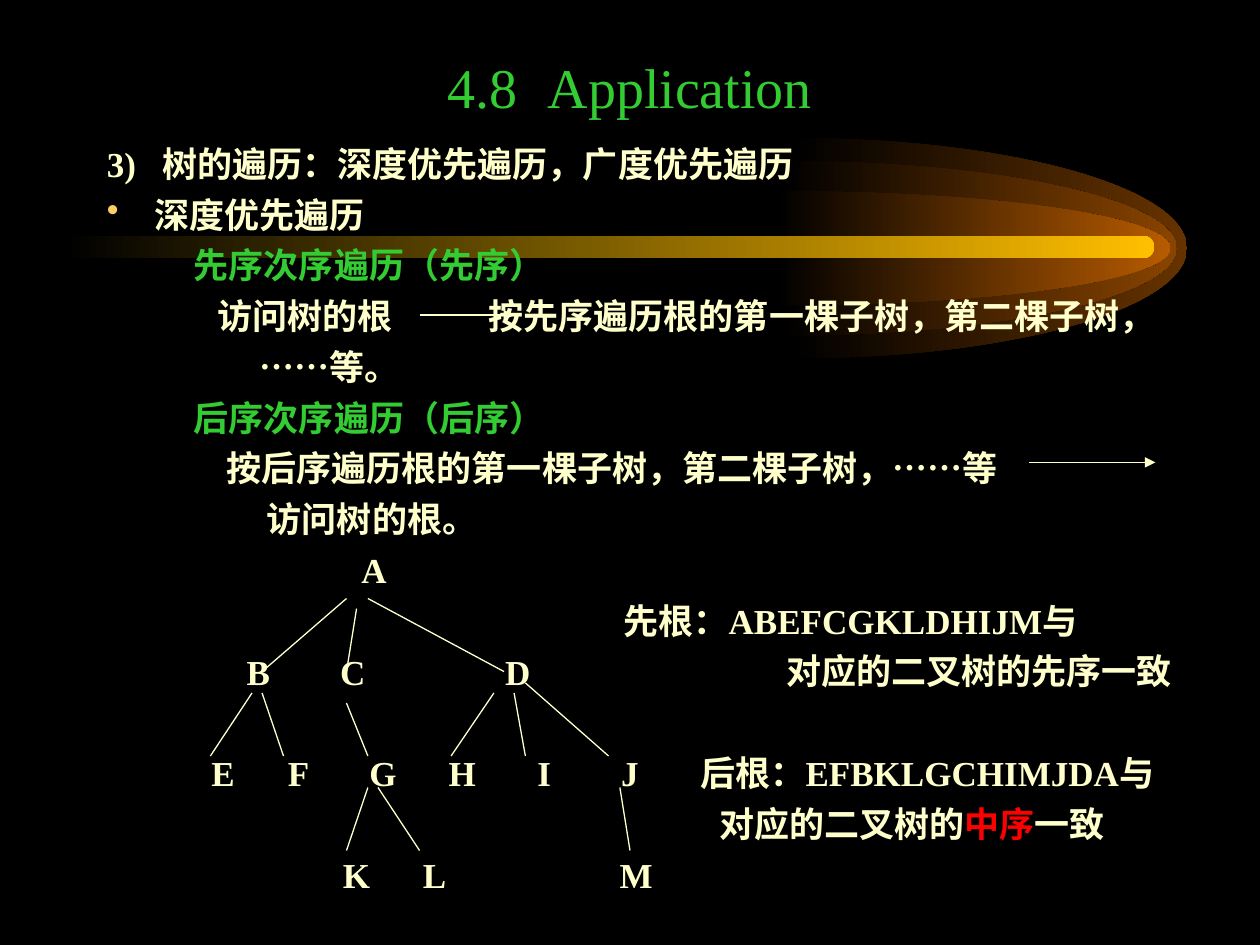
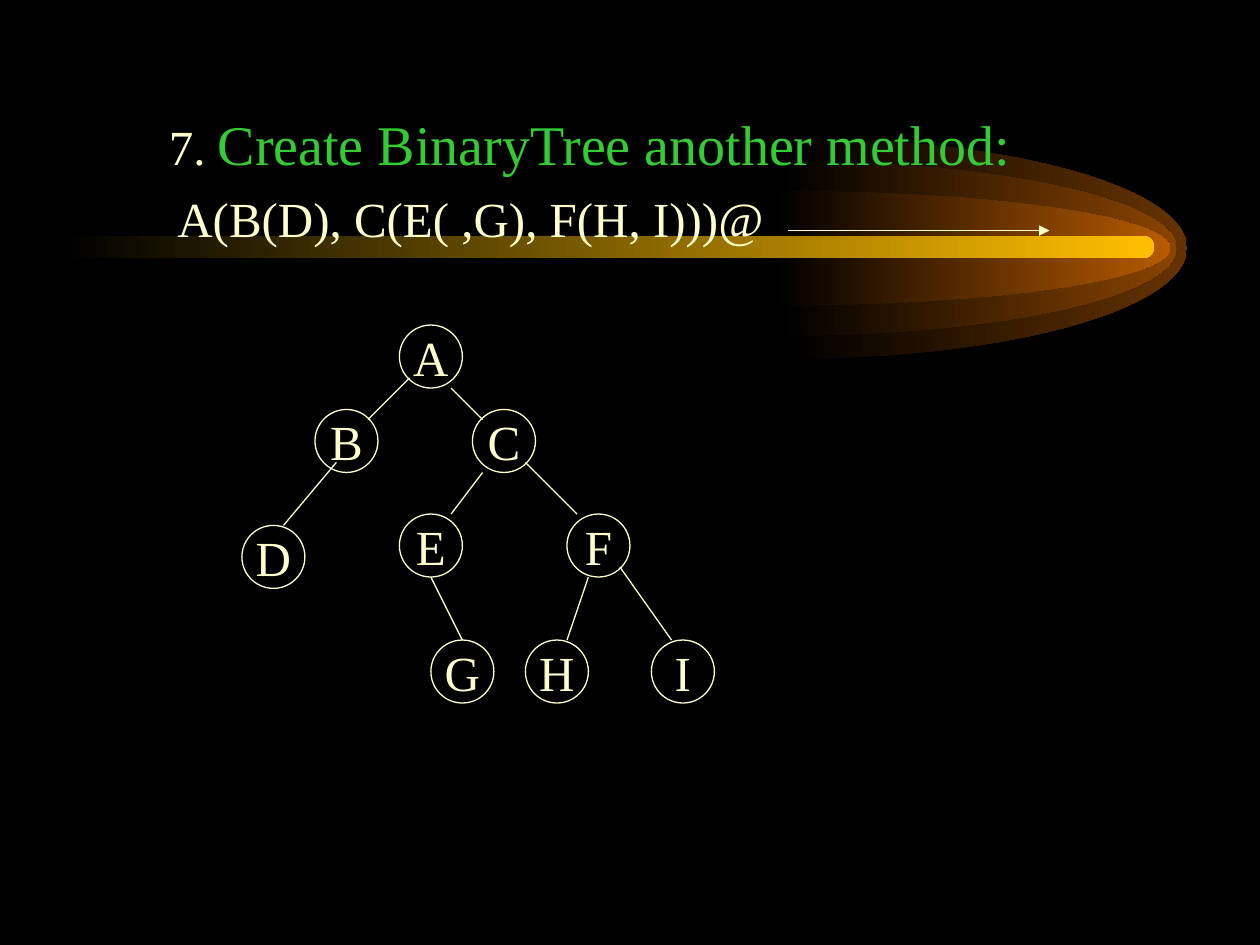
"""Build two dark slides on tree traversal and binary tree creation."""
from lxml import etree
from pptx import Presentation
from pptx import util as u
from pptx.dml.color import RGBColor
from pptx.enum import shapes, text
from pptx.oxml.ns import qn

HUES = {"back": "000000", "text": "FFFFCC", "head": "33CC33", "dot": "FFCC66",
        "hot": "FF0000", "bar": "FFBF00"}
GLOWS = [(6.29, 1.75, "663300"), (6.21, 1.39, "894400"), (6.16, 0.91, "B75B00")]
MID = 1.97
REACH = 3.13
BEND = 0.55
FONT = "Times New Roman"
PITCH = 29 / 72
TOP = 1.08

STEPS = [
    dict(parts="3)\t树的遍历：深度优先遍历，广度优先遍历", left=0.44, first=-0.44),
    dict(parts="深度优先遍历", left=0.38, first=-0.38, dot="•"),
    dict(parts=[("先序次序遍历（先序）", "head")], left=0.69),
    dict(parts="访问树的根", left=0.88),
    dict(parts="……等。", left=1.21),
    dict(parts=[("后序次序遍历（后序）", "head")], left=0.69),
    dict(parts="按后序遍历根的第一棵子树，第二棵子树，……等", left=0.95),
    dict(parts="访问树的根。", left=1.27),
    dict(parts="A", left=2.02),
    dict(parts="先根：ABEFCGKLDHIJM与", left=4.1),
    dict(parts="对应的二叉树的先序一致", left=5.39),
    dict(parts="后根：EFBKLGCHIMJDA与", left=4.71, before=34),
    dict(parts=[("对应的二叉树的", "text"), ("中序", "hot"), ("一致", "text")], left=4.86),
]
LEVELS = [{"B": 2.05, "C": 2.8, "D": 4.11},
          {"E": 1.77, "F": 2.37, "G": 3.04, "H": 3.67, "I": 4.32, "J": 5},
          {"K": 2.83, "L": 3.45, "M": 5.05}]
TWIGS = [(2.75, 4.75, 2.08, 5.33), (2.83, 4.83, 2.75, 5.33), (2.92, 4.75, 4, 5.33),
         (2, 5.5, 1.67, 6), (2.08, 5.5, 2.25, 6), (2.75, 5.58, 2.92, 6),
         (3.92, 5.5, 3.58, 6), (4.08, 5.5, 4.17, 6), (4.17, 5.42, 4.83, 6),
         (2.92, 6.25, 2.75, 6.75), (3, 6.25, 3.33, 6.75), (4.92, 6.25, 5, 6.75)]

NODES = {"A": (3.17, 2.58), "B": (2.5, 3.25), "C": (3.75, 3.25), "D": (1.92, 4.17),
         "E": (3.17, 4.08), "F": (4.5, 4.08), "G": (3.42, 5.08), "H": (4.17, 5.08),
         "I": (5.17, 5.08)}
LINKS = [(3.25, 3, 2.92, 3.33), (2.67, 3.67, 2.25, 4.17), (3.58, 3.08, 3.83, 3.33),
         (3.83, 3.75, 3.58, 4.08), (4.17, 3.67, 4.58, 4.08), (3.42, 4.58, 3.67, 5.08),
         (4.67, 4.58, 4.5, 5.08), (4.92, 4.5, 5.33, 5.08)]


def rgb(hue):
    """Give the colour for a palette name or a hex string."""
    return RGBColor.from_string(HUES.get(hue, hue))


def write(para, parts, size=20, bold=False, align="LEFT", left=0, first=0,
          before=0, pitch=None, dot=None):
    """Fill a paragraph with text, or with (text, hue[, size]) parts."""
    props = para._p.get_or_add_pPr()
    props.set("marL", str(u.Inches(left)))
    props.set("indent", str(u.Inches(first)))
    if dot:
        shade = etree.SubElement(props, qn("a:buClr"))
        etree.SubElement(shade, qn("a:srgbClr"), val=HUES["dot"])
        etree.SubElement(props, qn("a:buChar"), char=dot)
    else:
        etree.SubElement(props, qn("a:buNone"))
    para.alignment = getattr(text.PP_ALIGN, align)
    para.space_before = u.Pt(before)
    if pitch:
        para.line_spacing = u.Pt(pitch)
    for words, hue, *own in [(parts, "text")] if isinstance(parts, str) else parts:
        run = para.add_run()
        run.text = words
        run.font.name = FONT
        run.font.size = u.Pt(own[0] if own else size)
        run.font.bold = bold
        run.font.color.rgb = rgb(hue)


def add_box(slide, x, y, wide, high, rows, anchor="TOP", **form):
    """Add a text box with one paragraph for each row."""
    frame = slide.shapes.add_textbox(*map(u.Inches, (x, y, wide, high))).text_frame
    frame.word_wrap = True
    frame.vertical_anchor = getattr(text.MSO_ANCHOR, anchor)
    for i, row in enumerate(rows):
        para = frame.add_paragraph() if i else frame.paragraphs[0]
        write(para, **{"before": 5 if i else 0, **form, **row})


def set_title(slide, x, y, wide, high, parts, anchor, **form):
    """Place and fill the title, and return its paragraph."""
    head = slide.shapes.title
    head.left, head.top, head.width, head.height = map(u.Inches, (x, y, wide, high))
    frame = head.text_frame
    frame.auto_size = text.MSO_AUTO_SIZE.NONE
    frame.vertical_anchor = getattr(text.MSO_ANCHOR, anchor)
    write(frame.paragraphs[0], parts, **form)
    return frame.paragraphs[0]


def add_line(slide, x1, y1, x2, y2, arrow=False):
    """Draw a thin line, with an arrowhead at its end if asked."""
    line = slide.shapes.add_connector(shapes.MSO_CONNECTOR.STRAIGHT,
                                      *map(u.Inches, (x1, y1, x2, y2)))
    line.line.color.rgb = rgb("text")
    line.line.width = u.Pt(0.75)
    if arrow:
        etree.SubElement(line.line._get_or_add_ln(), qn("a:tailEnd"), type="triangle")
    etree.SubElement(line.element.spPr, qn("a:effectLst"))


def add_node(slide, name, x, y):
    """Draw a ringed tree node."""
    ring = slide.shapes.add_shape(shapes.MSO_SHAPE.OVAL,
                                  *map(u.Inches, (x, y, 0.5, 0.5)))
    ring.shadow.inherit = False
    ring.fill.background()
    ring.line.color.rgb = rgb("text")
    ring.line.width = u.Pt(0.75)
    ring.text_frame.word_wrap = False
    ring.text_frame.vertical_anchor = text.MSO_ANCHOR.MIDDLE
    write(ring.text_frame.paragraphs[0], name, size=28, align="CENTER")


def fade(shape, hue):
    """Fill a shape from the background colour to a hue, left to right."""
    shape.shadow.inherit = False
    shape.line.fill.background()
    shape.fill.gradient()
    shape.fill.gradient_angle = 0
    for stop, tone in zip(shape.fill.gradient_stops, ("back", hue)):
        stop.color.rgb = rgb(tone)


def bow(edge, *spots):
    """Turn a straight edge into a curve through two handles to its end."""
    edge.tag = qn("a:cubicBezTo")
    edge.clear()
    for x, y in spots:
        etree.SubElement(edge, qn("a:pt"), x=str(u.Inches(x)), y=str(u.Inches(y)))


def add_glow(slide, x, high, hue):
    """Draw the right half of an ellipse."""
    rise = high / 2
    spots = [(x, MID - rise), (x + REACH, MID), (x, MID + rise), (x, MID)]
    spots = [tuple(map(u.Inches, spot)) for spot in spots]
    pen = slide.shapes.build_freeform(*spots[0])
    pen.add_line_segments(spots[1:], close=True)
    half = pen.convert_to_shape()
    edges = list(half.element.iter(qn("a:lnTo")))
    for edge, spot in zip(edges, ([(BEND * REACH, 0), (REACH, rise * (1 - BEND)),
                                   (REACH, rise)],
                                  [(REACH, rise * (1 + BEND)), (BEND * REACH, high),
                                   (0, high)])):
        curve = etree.Element(qn("a:cubicBezTo"))
        edge.getparent().replace(edge, curve)
        bow(curve, *spot)
    fade(half, hue)
    return half


def add_comet(slide, layout):
    """Draw the comet and move it to the shared layout."""
    parts = [add_glow(slide, *glow) for glow in GLOWS]
    bar = slide.shapes.add_shape(shapes.MSO_SHAPE.ROUNDED_RECTANGLE,
                                 *map(u.Inches, (0.5, 1.87, 8.66, 0.18)))
    bar.adjustments[0] = 0.5
    fade(bar, "bar")
    for i, part in enumerate(parts + [bar]):
        part.element.nvSpPr.cNvPr.set("id", str(100 + i))
        layout.shapes.element.insert(2 + i, part.element)


def fill_walk(slide):
    """Fill the slide on depth-first traversal."""
    head = set_title(slide, 0.75, 0.42, 8.5, 0.58,
                     [("4.8", "head"), (" ", "head"), ("Application", "head")],
                     "BOTTOM", size=32, align="CENTER")
    head.runs[1].font._element.set("spc", "900")
    form = dict(bold=True, pitch=24)
    add_box(slide, 0.75, TOP, 8.83, 6.42, STEPS, **form)
    add_box(slide, 3.78, TOP + 3 * PITCH, 5.8, 0.5,
            [dict(parts="按先序遍历根的第一棵子树，第二棵子树，")], **form)
    add_line(slide, 3.33, 2.5, 4.08, 2.5, arrow=True)
    add_line(slide, 8.17, 3.67, 9.17, 3.67, arrow=True)
    for i, level in enumerate(LEVELS, 1):
        for name, x in level.items():
            add_box(slide, x - 0.25, 4.32 + 2 * i * PITCH, 0.5, 0.4,
                    [dict(parts=name)], "MIDDLE", bold=True, align="CENTER")
    for twig in TWIGS:
        add_line(slide, *twig)


def fill_make(slide):
    """Fill the slide on creating a binary tree."""
    set_title(slide, 1.24, 0.82, 8, 0.6,
              [("7. ", "text", 28), ("Create BinaryTree another method:", "head")],
              "TOP", size=32)
    add_box(slide, 1.31, 1.45, 5.2, 0.55,
            [dict(parts="A(B(D), C(E( ,G), F(H, I)))@")], size=28)
    for name, spot in NODES.items():
        add_node(slide, name, *spot)
    for link in LINKS:
        add_line(slide, *link)
    add_line(slide, 6.25, 1.83, 8.33, 1.83, arrow=True)


def main():
    """Build and save the deck."""
    deck = Presentation()
    deck.slide_width, deck.slide_height = u.Inches(10), u.Inches(7.5)
    back = deck.slide_master.background.fill
    back.solid()
    back.fore_color.rgb = rgb("back")
    layout = deck.slide_layouts[5]
    walk, make = [deck.slides.add_slide(layout) for _ in range(2)]
    add_comet(walk, layout)
    fill_walk(walk)
    fill_make(make)
    deck.save("out.pptx")


if __name__ == "__main__":
    main()
